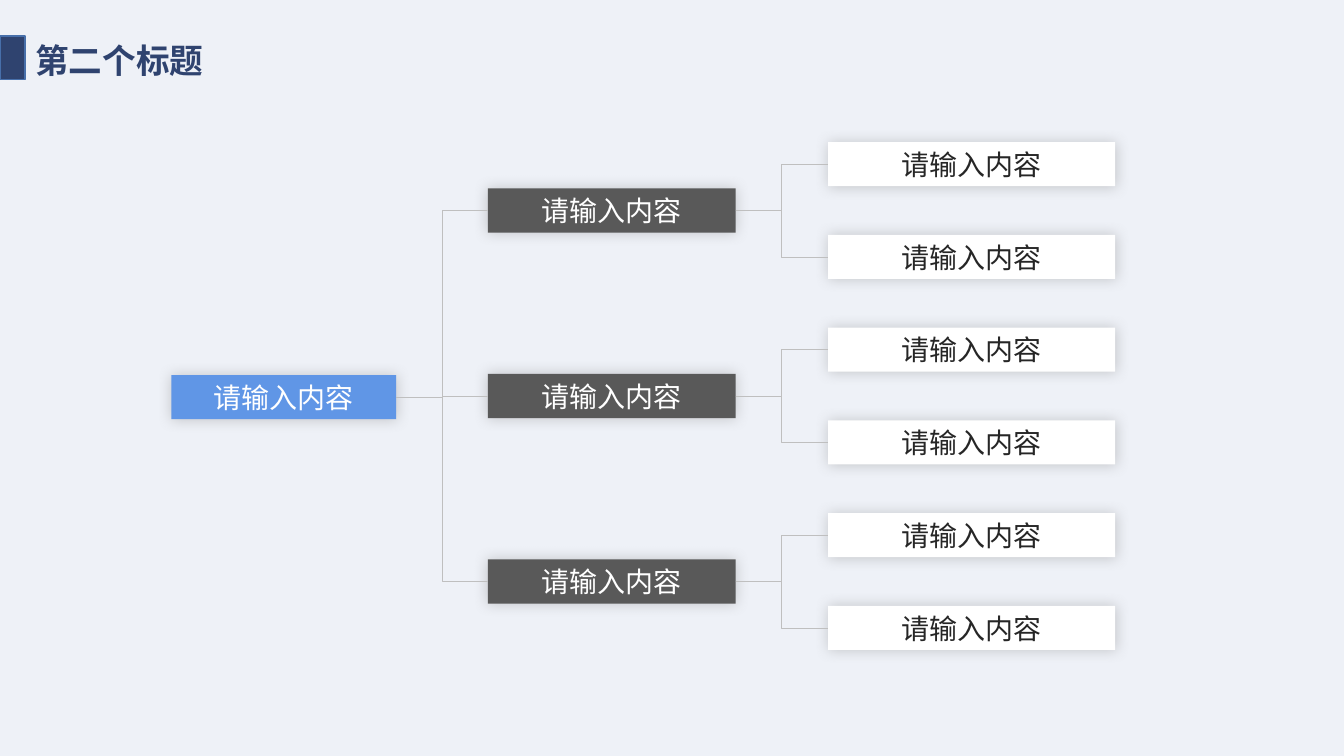
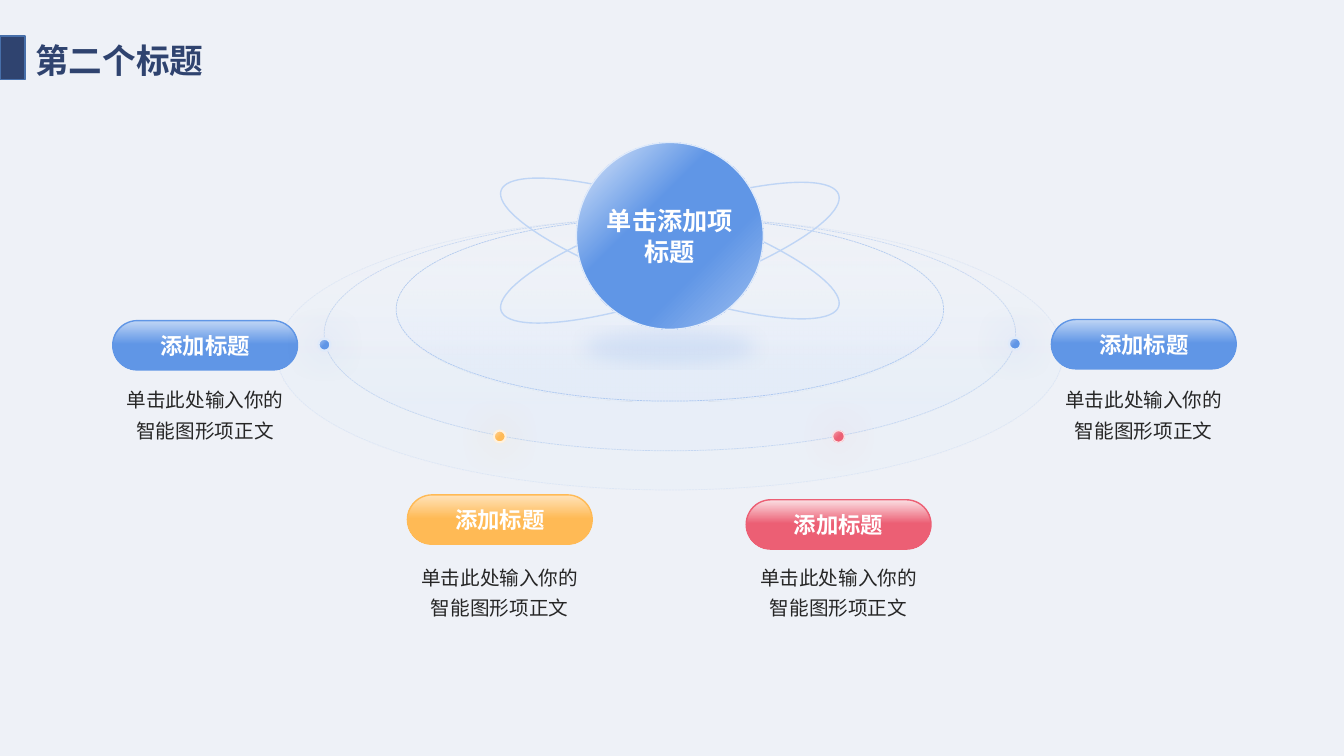
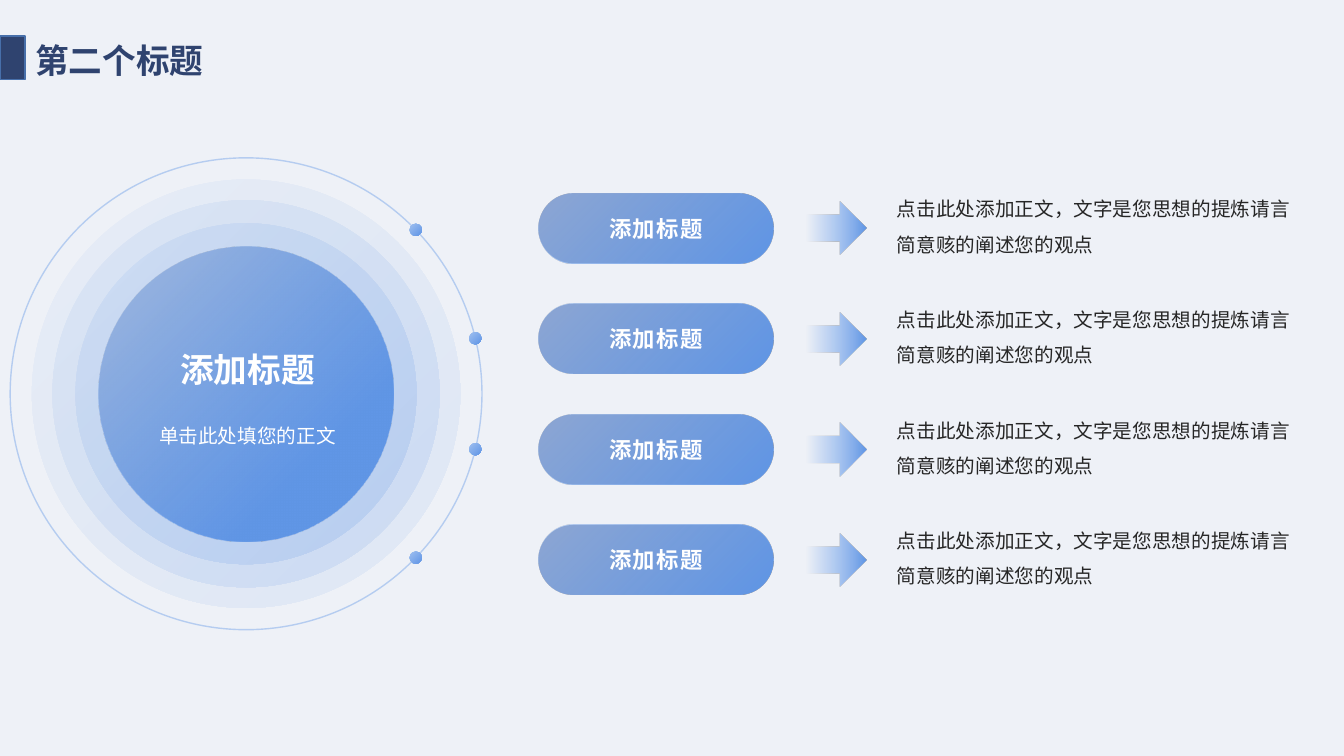
"""Build three diagram slides: a tree, an orbit and a list beside a dial."""
from copy import deepcopy
from dataclasses import dataclass
from math import cos, radians, sin

from lxml.etree import SubElement
from pptx import Presentation
from pptx.dml.color import RGBColor
from pptx.enum.dml import MSO_LINE
from pptx.enum.shapes import MSO_CONNECTOR, MSO_SHAPE
from pptx.enum.text import MSO_ANCHOR, MSO_AUTO_SIZE, PP_ALIGN
from pptx.oxml.ns import qn
from pptx.util import Pt


@dataclass(frozen=True)
class Theme:
    """Colours, font and type sizes of the deck."""
    font: str = "Noto Sans CJK SC"
    ground: str = "EEF1F7"
    navy: str = "2F436F"
    edge: str = "476FAA"
    blue: str = "6096E6"
    sky: str = "A0C0F0"
    pale: str = "BFD5F5"
    mist: str = "DFEAFA"
    white: str = "FFFFFF"
    ink: str = "262626"
    slate: str = "595959"
    rule: str = "BFBFBF"
    gray: str = "808080"
    indigo: str = "324274"
    heading: int = 24
    node: int = 20
    hub: int = 18
    label: int = 16
    body: int = 14


THEME = Theme()
TITLE = "第二个标题"
NODE = "请输入内容"
LABEL = "添加标题"
HUB = "单击添加项标题"
SATELLITE_BODY = "单击此处输入你的\n智能图形项正文"
DIAL_BODY = "单击此处填您的正文"
POINTS = ["点击此处添加正文，文字是您思想的提炼请言简意赅的阐述您的观点"] * 4

BRANCHES = [(NODE, [NODE, NODE])] * 3

BLUE_TONES = dict(main=THEME.blue, light=THEME.pale, glint=THEME.sky,
                  rim=(THEME.mist, 1.5), glow=(THEME.blue, 46, 28))
YELLOW_TONES = dict(main="FFBA55", light="FFE3BB", glint="FFD699",
                    rim=("FFF1DD", 1.5), glow=("FFBA55", 46, 28))
RED_TONES = dict(main="EC5F74", light="FBDFE3", glint="F49FAC",
                 rim=("FBDFE3", 1), glow=("EC5F74", 30, 27))
SATELLITES = [
    dict(center=599, pill=357, dot=(599, 311.75), body=399, tones=RED_TONES),
    dict(center=357, pill=353.5, dot=(357, 311.75), body=399, tones=YELLOW_TONES),
    dict(center=146.5, pill=229, dot=(231.75, 246.25), body=272, tones=BLUE_TONES),
    dict(center=817, pill=228.25, dot=(725, 245.5), body=272, tones=BLUE_TONES),
]
ORBITS = [
    dict(width=561.5, height=194.5, stop=(52, THEME.mist, 15), line_alpha=10),
    dict(width=494, height=166.5, stop=(81, THEME.mist, 25), line_alpha=25),
    dict(width=391, height=131, stop=(77, THEME.mist, 40), line_alpha=40),
]
DIAL_RINGS = [(306, 10), (276.5, 15), (243.5, 20)]
DIAL_ANGLES = [-44, -13.6, 13.6, 44]


def write(shape, text, size=THEME.body, color=THEME.ink, bold=False, align=PP_ALIGN.CENTER,
          anchor=MSO_ANCHOR.MIDDLE, spacing=None, margins=(0, 0), tracking=None, grow=False):
    """Put formatted text into a shape."""
    frame = shape.text_frame
    frame.word_wrap = True
    frame.auto_size = MSO_AUTO_SIZE.SHAPE_TO_FIT_TEXT if grow else MSO_AUTO_SIZE.NONE
    frame.vertical_anchor = anchor
    frame.margin_left = frame.margin_right = Pt(margins[0])
    frame.margin_top = frame.margin_bottom = Pt(margins[1])
    para = frame.paragraphs[0]
    para.text = text
    para.alignment = align
    if spacing:
        para.line_spacing = spacing
    for span in para.runs:
        font = span.font
        font.name, font.size, font.bold = THEME.font, Pt(size), bold
        font.color.rgb = RGBColor.from_string(color)
        properties = font._element
        SubElement(properties, qn("a:ea"), typeface=THEME.font)
        if tracking:
            properties.set("spc", str(tracking * 100))
    for line_break in para._p.findall(qn("a:br")):
        line_break.append(deepcopy(properties))


def add_color(parent, color, alpha=100):
    """Add a colour element with an opacity in percent."""
    node = SubElement(parent, qn("a:srgbClr"), val=color)
    if alpha < 100:
        SubElement(node, qn("a:alpha"), val=str(alpha * 1000))


def fade(parent, alpha):
    """Set the opacity of a solid colour."""
    SubElement(parent.find(".//" + qn("a:srgbClr")), qn("a:alpha"), val=str(alpha * 1000))


def fill_gradient(shape, stops, angle=None):
    """Fill with stops along an angle, or round the lower right corner."""
    shape.fill.background()
    holder = shape._element.spPr
    blank = holder.find(qn("a:noFill"))
    gradient = SubElement(holder, qn("a:gradFill"), rotWithShape="1")
    holder.replace(blank, gradient)
    stop_list = SubElement(gradient, qn("a:gsLst"))
    for position, *color in stops:
        add_color(SubElement(stop_list, qn("a:gs"), pos=str(position * 1000)), *color)
    if angle is None:
        route = SubElement(gradient, qn("a:path"), {"path": "circle"})
        SubElement(route, qn("a:fillToRect"), l="100000", t="100000")
    else:
        SubElement(gradient, qn("a:lin"), ang=str(angle * 60000), scaled="0")


def add_shadow(shape, color, alpha, blur, **placing):
    """Give a shape a soft outer shadow."""
    effects = shape._element.spPr.find(qn("a:effectLst"))
    shadow = SubElement(effects, qn("a:outerShdw"), blurRad=str(Pt(blur)), dist="0",
                        rotWithShape="0", **(placing or {"algn": "ctr"}))
    add_color(shadow, color, alpha)


def add_box(slide, kind, left, top, width, height, fill=None, alpha=100, stops=None,
            angle=None, line=None, line_alpha=100, shadow=None):
    """Add a preset shape with its fill, line and shadow."""
    shape = slide.shapes.add_shape(kind, Pt(left), Pt(top), Pt(width), Pt(height))
    shape.shadow.inherit = False
    if kind == MSO_SHAPE.ROUNDED_RECTANGLE:
        shape.adjustments[0] = 0.5
    if stops:
        fill_gradient(shape, stops, angle)
    elif fill:
        shape.fill.solid()
        shape.fill.fore_color.rgb = RGBColor.from_string(fill)
        if alpha < 100:
            fade(shape._element.spPr, alpha)
    else:
        shape.fill.background()
    if line:
        shape.line.color.rgb = RGBColor.from_string(line[0])
        shape.line.width = Pt(line[1])
        if line_alpha < 100:
            fade(shape.line._ln, line_alpha)
    else:
        shape.line.fill.background()
    if shadow:
        add_shadow(shape, *shadow)
    return shape


def add_disc(slide, center, middle, size, **look):
    """Add a circle round a centre point."""
    return add_box(slide, MSO_SHAPE.OVAL, center - size / 2, middle - size / 2, size, size, **look)


def add_text(slide, left, top, width, height, text, **look):
    """Add a text box that starts at its top."""
    box = slide.shapes.add_textbox(Pt(left), Pt(top), Pt(width), Pt(height))
    write(box, text, anchor=MSO_ANCHOR.TOP, **look)


def add_page(deck):
    """Add a slide with the shared title and marker."""
    slide = deck.slides.add_slide(deck.slide_layouts[5])
    title = slide.shapes.title
    title.left, title.top, title.width, title.height = Pt(18), Pt(25.2), Pt(224), Pt(36)
    write(title, TITLE, size=THEME.heading, color=THEME.navy, bold=True, align=PP_ALIGN.LEFT,
          anchor=MSO_ANCHOR.TOP, margins=(7.2, 3.6), grow=True)
    add_box(slide, MSO_SHAPE.RECTANGLE, 0, 25.75, 18, 31, fill=THEME.navy, line=(THEME.edge, 1))
    return slide


def add_node(slide, left, top, width, text, fill, color):
    """Add one box of the tree."""
    box = add_box(slide, MSO_SHAPE.RECTANGLE, left, top, width, 31.5, fill=fill,
                  shadow=(THEME.gray, 40, 10))
    write(box, text, size=THEME.node, color=color, margins=(7.2, 3.6))
    return box


def join(slide, parent, child):
    """Link two tree boxes with an elbow line."""
    link = slide.shapes.add_connector(MSO_CONNECTOR.ELBOW, 0, 0, 0, 0)
    link.begin_connect(parent, 3)
    link.end_connect(child, 1)
    link.line.color.rgb = RGBColor.from_string(THEME.rule)
    link.line.width = Pt(0.5)
    SubElement(link._element.spPr, qn("a:effectLst"))


def build_tree(slide):
    """Draw the root, its branches and their leaves."""
    first_leaf, step = 101.5, 66.25
    links = []
    root = add_node(slide, 122.5, 268, 160.5, NODE, THEME.blue, THEME.white)
    row = 0
    for branch_text, leaves in BRANCHES:
        branch_top = first_leaf + step * (row + (len(leaves) - 1) / 2)
        branch = add_node(slide, 348.5, branch_top, 177, branch_text, THEME.slate, THEME.white)
        links.append((root, branch))
        for leaf_text in leaves:
            leaf = add_node(slide, 591.5, first_leaf + step * row, 205, leaf_text,
                            THEME.white, THEME.ink)
            links.append((branch, leaf))
            row += 1
    for parent, child in links:
        join(slide, parent, child)


def build_orbit(slide):
    """Draw the hub, its orbits and the four satellites."""
    center = 478.5
    for orbit in ORBITS:
        ring = add_box(slide, MSO_SHAPE.OVAL, center - orbit["width"] / 2, 155.5,
                       orbit["width"], orbit["height"],
                       stops=[(0, THEME.white, 0), orbit["stop"]], angle=90,
                       line=(THEME.blue, 0.5), line_alpha=orbit["line_alpha"])
        ring.line.dash_style = MSO_LINE.SQUARE_DOT
    for satellite in SATELLITES:
        tones, middle = satellite["tones"], satellite["center"]
        pill = add_box(slide, MSO_SHAPE.ROUNDED_RECTANGLE, middle - 66, satellite["pill"], 132, 35.25,
                       stops=[(0, tones["light"]), (48, tones["main"])], angle=90,
                       line=(tones["main"], 1))
        write(pill, LABEL, size=THEME.label, color=THEME.white, bold=True)
        add_disc(slide, *satellite["dot"], 8.5, stops=[(4, tones["glint"]), (54, tones["main"])],
                 angle=45, line=tones["rim"], shadow=tones["glow"])
        add_text(slide, middle - 83.5, satellite["body"], 167, 95, SATELLITE_BODY, spacing=1.3)
    for top, turn in [(147.5, 19), (150.5, 341)]:
        loop = add_box(slide, MSO_SHAPE.OVAL, center - 127.5, top, 255, 60, line=(THEME.pale, 1))
        loop.rotation = turn
    hub = add_disc(slide, center, 168.5, 133.5, line=(THEME.mist, 1),
                   stops=[(0, THEME.sky), (34, THEME.blue), (62, THEME.blue), (100, THEME.mist)])
    add_shadow(hub, THEME.blue, 15, 14, dir="5400000", sx="90000", sy="-19000", algn="b")
    write(hub, HUB, size=THEME.hub, color=THEME.white, bold=True)


def build_dial(slide):
    """Draw the dial and the rows of pill, arrow and text."""
    center, middle, diameter = 175.75, 281.25, 337
    add_disc(slide, center, middle, diameter, line=(THEME.blue, 1), line_alpha=40)
    for angle in DIAL_ANGLES:
        add_disc(slide, center + diameter / 2 * cos(radians(angle)),
                 middle + diameter / 2 * sin(radians(angle)), 8.75,
                 stops=[(0, THEME.sky), (100, THEME.blue)], angle=45)
    for size, alpha in DIAL_RINGS:
        add_disc(slide, center, middle, size, angle=45,
                 stops=[(0, THEME.sky, alpha), (100, THEME.blue, alpha)])
    add_disc(slide, center, middle, 210.5, fill=THEME.indigo, alpha=17)
    add_disc(slide, center, middle, 210.5, angle=45,
             stops=[(0, THEME.blue, 19), (74, THEME.blue)])
    add_text(slide, 83.5, 245.5, 186.5, 47.5, LABEL, size=THEME.heading, color=THEME.white,
             bold=True, margins=(7.2, 3.6))
    add_text(slide, 83.5, 294.5, 186.5, 45.5, DIAL_BODY, color=THEME.white, spacing=1.5)

    for row, point in enumerate(POINTS):
        top = 138 + 79 * row
        place = (MSO_SHAPE.ROUNDED_RECTANGLE, 384.5, top, 168, 50)
        add_box(slide, *place, fill=THEME.indigo, alpha=36)
        pill = add_box(slide, *place, stops=[(0, THEME.blue, 38), (99, THEME.blue)], angle=45)
        write(pill, LABEL, size=THEME.label, color=THEME.white, bold=True,
              margins=(21, 9.5), tracking=1)
        add_box(slide, MSO_SHAPE.RIGHT_ARROW, 575, top + 6, 44, 38, angle=0,
                stops=[(3, THEME.sky, 0), (50, THEME.sky, 80), (100, THEME.blue)])
        add_text(slide, 640.75, top - 5.5, 283, 60.5, point, align=PP_ALIGN.LEFT, spacing=1.5)


def main():
    """Build and save the deck."""
    deck = Presentation()
    deck.slide_width, deck.slide_height = Pt(960), Pt(540)
    ground = deck.slide_master.background.fill
    ground.solid()
    ground.fore_color.rgb = RGBColor.from_string(THEME.ground)
    for build in (build_tree, build_orbit, build_dial):
        build(add_page(deck))
    deck.save("out.pptx")


if __name__ == "__main__":
    main()
